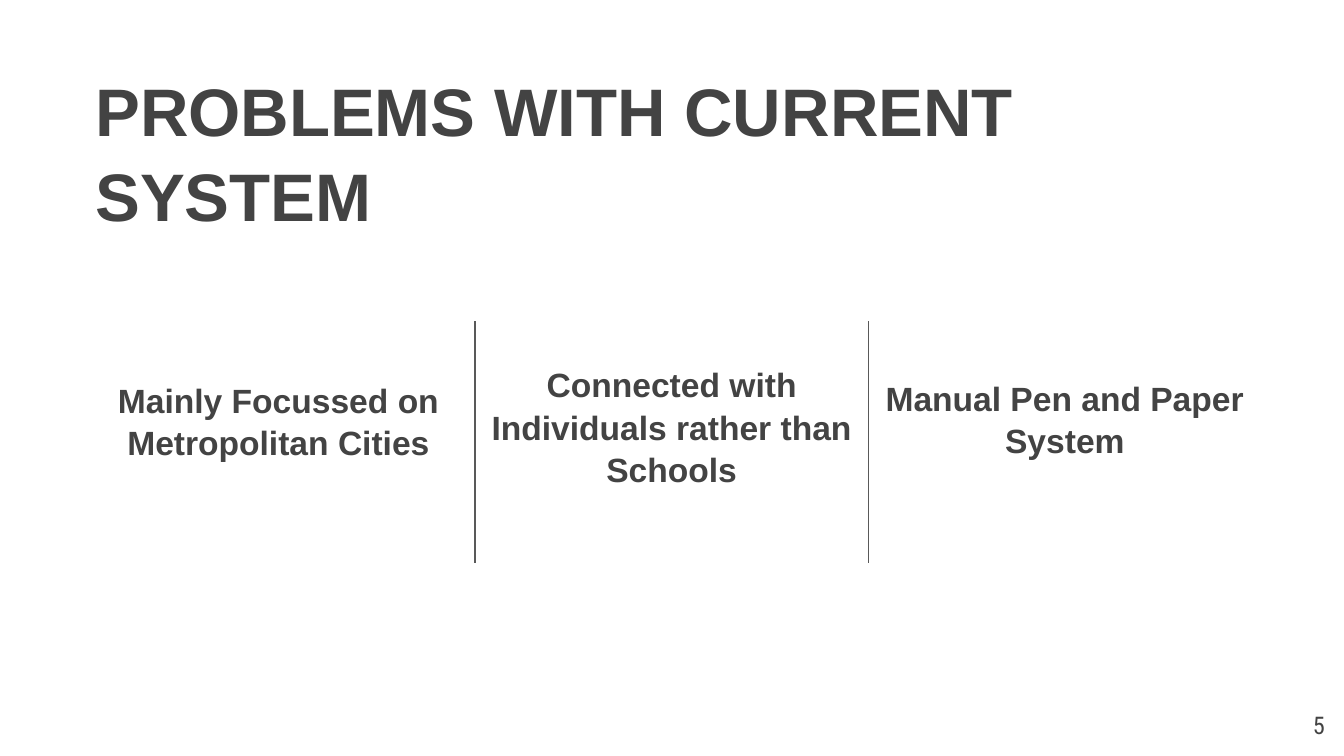
from pptx import Presentation
from pptx.dml.color import RGBColor
from pptx.enum.shapes import MSO_CONNECTOR
from pptx.enum.text import MSO_ANCHOR, MSO_AUTO_SIZE, PP_ALIGN
from pptx.oxml.ns import qn
from pptx.util import Cm, Pt
from lxml.etree import SubElement

# Content
TITLE = "PROBLEMS WITH CURRENT SYSTEM"
PROBLEMS = [  # text, bottom edge of its box in cm
    ("Mainly Focussed on Metropolitan Cities", 8.99),
    ("Connected with Individuals rather than Schools", 9.5),
    ("Manual Pen and Paper System", 8.95),
]
PAGE = "5"

THEME = {
    "text": RGBColor(0x43, 0x43, 0x43),
    "rule": RGBColor(0x59, 0x59, 0x59),
    "background": RGBColor(0xFF, 0xFF, 0xFF),
    "font": "Arial", "number_font": "Roboto Condensed",
    "title": Pt(36), "body": Pt(18), "number": Pt(13), "rule_width": Pt(0.75),
}

# Layout in cm
LEFT, COLUMN, BOX_HEIGHT = 1.55, 7.43, 1.2
RULE_TOP, RULE_BOTTOM = 6.07, 10.64


def write(sp, text, size, align, anchor=MSO_ANCHOR.TOP, font=THEME["font"],
          bold=True, spacing=1.05):
    tf = sp.text_frame
    tf.word_wrap, tf.auto_size, tf.vertical_anchor = True, MSO_AUTO_SIZE.NONE, anchor
    tf.margin_left = tf.margin_right = tf.margin_top = tf.margin_bottom = Cm(0.25)
    p = tf.paragraphs[0]
    p.text, p.alignment, p.line_spacing = text, align, spacing
    p.space_before = Pt(0)
    p.font.name, p.font.size, p.font.bold = font, size, bold
    p.font.color.rgb = THEME["text"]


prs = Presentation()
prs.slide_width, prs.slide_height = Cm(25.4), Cm(14.29)
s = prs.slides.add_slide(prs.slide_layouts[5])
s.background.fill.solid()
s.background.fill.fore_color.rgb = THEME["background"]

# Title
title = s.shapes.title
title.left, title.top, title.width, title.height = Cm(LEFT), Cm(0.99), Cm(22.28), Cm(2.62)
write(title, TITLE, THEME["title"], PP_ALIGN.LEFT)

# Problem columns, with a rule before each but the first
for i, (text, bottom) in enumerate(PROBLEMS):
    x = LEFT + i * COLUMN
    sp = s.shapes.add_textbox(Cm(x), Cm(bottom - BOX_HEIGHT), Cm(COLUMN), Cm(BOX_HEIGHT))
    write(sp, text, THEME["body"], PP_ALIGN.CENTER, MSO_ANCHOR.BOTTOM)
    if i:
        rule = s.shapes.add_connector(
            MSO_CONNECTOR.STRAIGHT, Cm(x), Cm(RULE_TOP), Cm(x), Cm(RULE_BOTTOM))
        rule.line.color.rgb, rule.line.width = THEME["rule"], THEME["rule_width"]
        SubElement(rule.element.spPr, qn("a:effectLst"))

# Slide number
number = s.shapes.add_textbox(Cm(23.77), Cm(13.18), Cm(1.52), Cm(1.09))
write(number, PAGE, THEME["number"], PP_ALIGN.RIGHT, font=THEME["number_font"],
      bold=False, spacing=1.0)

prs.save("out.pptx")
